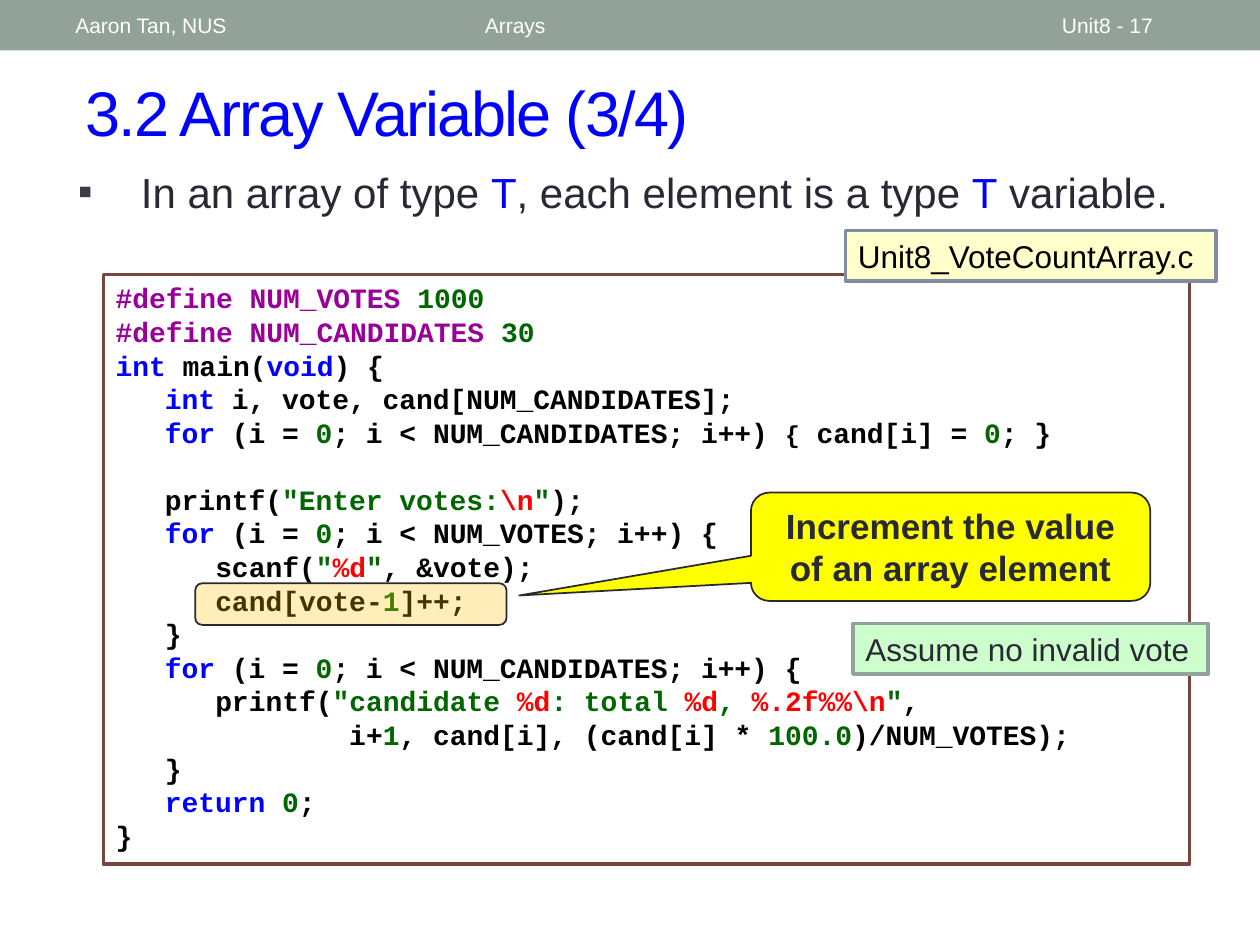
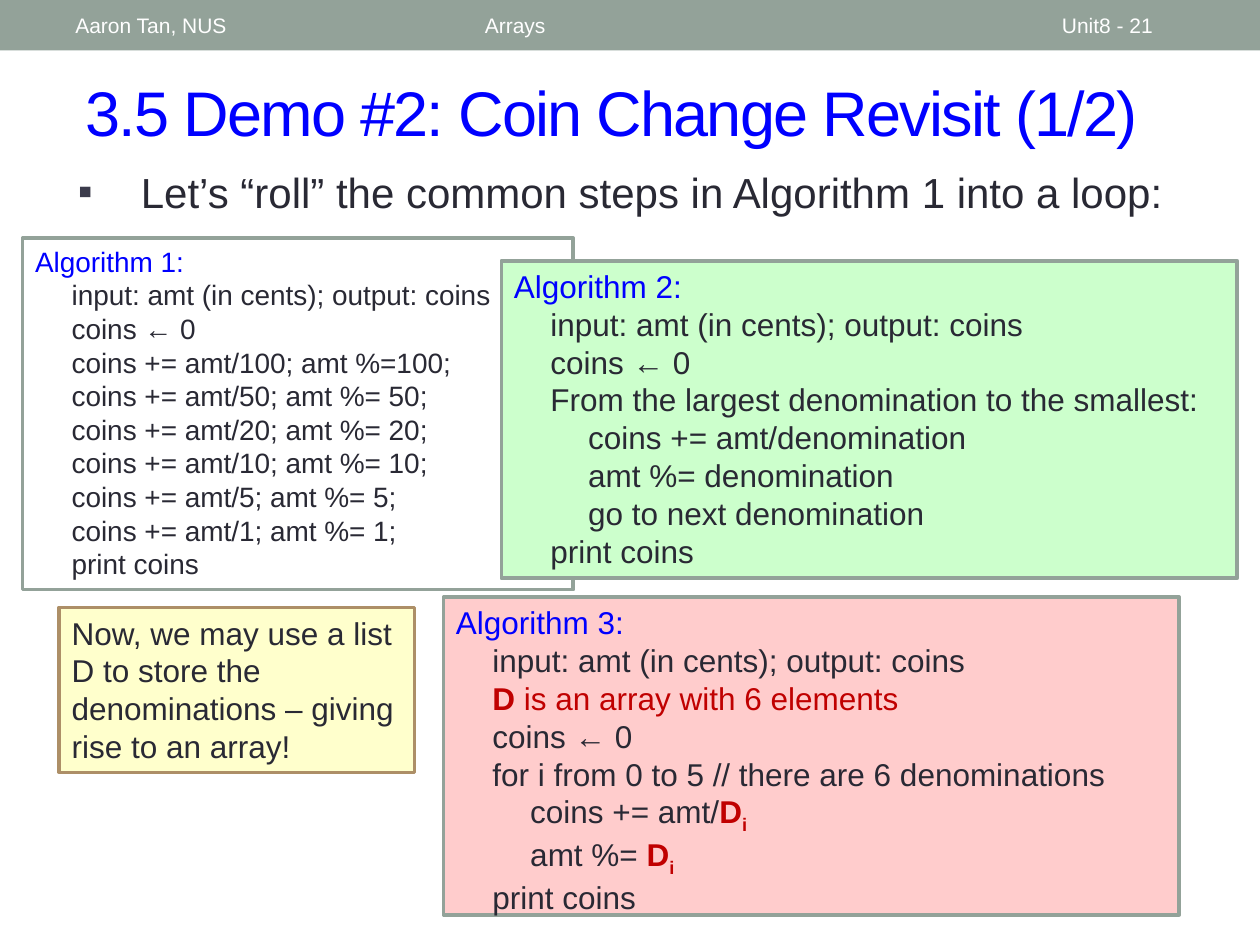
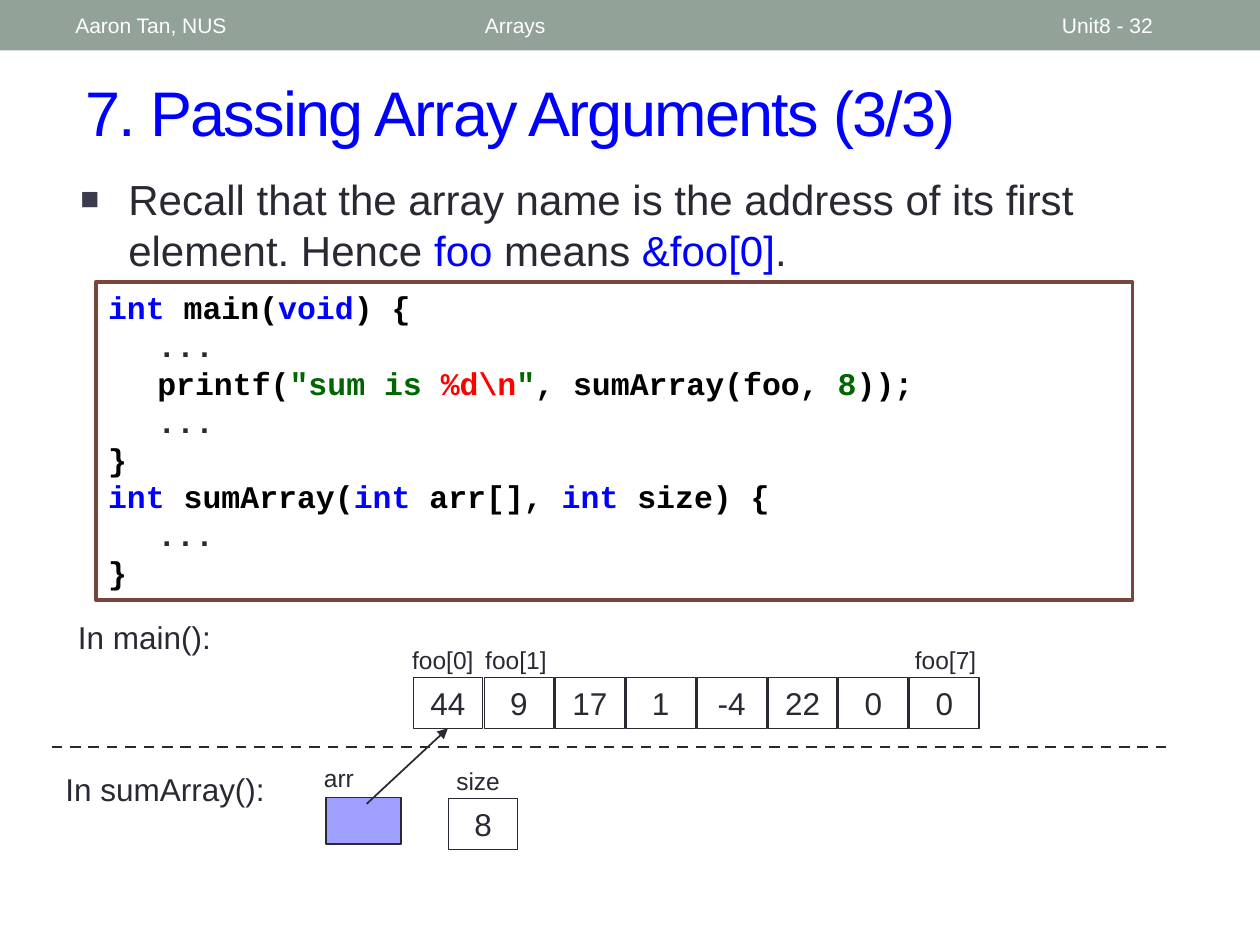
from lxml import etree
from pptx import Presentation
from pptx.dml.color import RGBColor
from pptx.enum.dml import MSO_LINE
from pptx.enum.shapes import MSO_CONNECTOR, MSO_SHAPE as SHAPE
from pptx.enum.text import MSO_ANCHOR as ANCHOR, MSO_AUTO_SIZE as AUTO, PP_ALIGN as ALIGN
from pptx.oxml.ns import qn
from pptx.util import Inches, Pt

INK, BLACK, WHITE = "292934", "000000", "FFFFFF"
BLUE, GREEN, RED, PURPLE, CRIMSON = "0000FF", "006600", "FF0000", "990099", "C00000"
SAGE, BROWN, TAN, SLATE, BULLET = "93A299", "79463D", "AD8F67", "808DA0", "3B3B4B"
CREAM, MINT, PINK, YELLOW, AMBER, LILAC = "FFFFCC", "CCFFCC", "FFCCCC", "FFFF00", "FFC000", "9F9FFF"
CODE_TABS = (0.39, 0.79, 1.18, 1.67)
STEP_TABS = (0.29, 0.59)
FRAME = 2.08


def rgb(value):
    return RGBColor.from_string(value)


def child(parent, tag, **attrs):
    return etree.SubElement(parent, qn(tag), {k: str(v) for k, v in attrs.items()})


class Deck:
    """Holds the presentation, its style and the slide being filled."""

    def __init__(self):
        self.prs = Presentation()
        self.prs.slide_width, self.prs.slide_height = Inches(10), Inches(7.5)
        self.s = None

    def slide(self, title, number):
        self.s = self.prs.slides.add_slide(self.prs.slide_layouts[6])
        self.shape(SHAPE.RECTANGLE, (0, 0, 10, 0.4), SAGE)
        tf = self.text((0.58, 0.42, 9.17, 0.92), [title], size=36, color=BLUE, anchor=ANCHOR.MIDDLE)
        tf.paragraphs[0].runs[0].font._element.set("spc", "-100")
        for left, width, words in ((3.75, 4.5, "Arrays"), (8.33, 1.17, f"Unit8 - {number}"),
                                   (0.5, 3.17, "Aaron Tan, NUS")):
            self.text((left, 0.02, width, 0.36), [words], size=12, color=WHITE, anchor=ANCHOR.MIDDLE)

    def put_text(self, sp, lines, size=18, color=INK, font="Arial", bold=False,
                 align=ALIGN.LEFT, anchor=ANCHOR.TOP, tabs=(), grow=False):
        """Fill a shape; a line is a string or a list of strings and (text, colour, options)."""
        tf = sp.text_frame
        tf.word_wrap, tf.vertical_anchor = True, anchor
        tf.auto_size = AUTO.SHAPE_TO_FIT_TEXT if grow else AUTO.NONE
        for i, line in enumerate(lines):
            p = tf.paragraphs[0] if i == 0 else tf.add_paragraph()
            p.alignment = align
            if tabs:
                stops = child(p._p.get_or_add_pPr(), "a:tabLst")
                for pos in tabs:
                    child(stops, "a:tab", pos=Inches(pos), algn="l")
            if not line:
                child(p._p, "a:endParaRPr", sz=size * 100)
                continue
            for part in [line] if isinstance(line, str) else line:
                words, tint, *more = (part, color) if isinstance(part, str) else part
                opts = more[0] if more else {}
                r = p.add_run()
                r.text = words
                f = r.font
                f.name, f.size = font, Pt(opts.get("size", size))
                f.bold, f.color.rgb = opts.get("bold", bold), rgb(tint)
                if "base" in opts:
                    f._element.set("baseline", str(opts["base"] * 1000))
        return tf

    def text(self, at, lines, **style):
        return self.put_text(self.s.shapes.add_textbox(*map(Inches, at)), lines, **style)

    def label(self, at, words):
        tf = self.text(at, [words], size=14, align=ALIGN.CENTER, grow=True)
        tf.word_wrap = False

    def bullet(self, at, mark, indent, line, scale=None):
        p = self.text(at, [line], size=24).paragraphs[0]
        pPr = p._p.get_or_add_pPr()
        pPr.set("marL", str(Inches(indent)))
        pPr.set("indent", str(-Inches(indent)))
        child(child(pPr, "a:buClr"), "a:srgbClr", val=BULLET)
        if scale:
            child(pPr, "a:buSzPct", val=scale * 1000)
        child(pPr, "a:buFont", typeface="Arial")
        child(pPr, "a:buChar", char=mark)

    def shape(self, kind, at, fill, line=None, width=1, alpha=None):
        sp = self.s.shapes.add_shape(kind, *map(Inches, at))
        sp.shadow.inherit = False
        sp.fill.solid()
        sp.fill.fore_color.rgb = rgb(fill)
        if alpha:
            child(sp._element.spPr.find(".//" + qn("a:srgbClr")), "a:alpha", val=alpha * 1000)
        if line:
            sp.line.color.rgb, sp.line.width = rgb(line), Pt(width)
        else:
            sp.line.fill.background()
        return sp

    def box(self, at, fill, line, lines, width=FRAME, **style):
        sp = self.shape(SHAPE.RECTANGLE, at, fill, line, width)
        self.put_text(sp, lines, grow=True, **style)
        return sp

    def code(self, at, lines, size):
        self.box(at, WHITE, BROWN, lines, size=size, color=BLACK, font="Courier New",
                 bold=True, tabs=CODE_TABS)

    def cell(self, left, top, value):
        return self.box((left, top, 0.55, 0.4), WHITE, INK, [value], width=0.75, align=ALIGN.CENTER)

    def line(self, start, end, width=1):
        c = self.s.shapes.add_connector(MSO_CONNECTOR.STRAIGHT, *map(Inches, start + end))
        c.line.color.rgb, c.line.width = rgb(INK), Pt(width)
        child(c._element.spPr, "a:effectLst")
        return c


def array_variable(deck):
    deck.slide("3.2 Array Variable (3/4)", 17)
    deck.bullet((0.52, 1.27, 9.14, 0.73), "▪", 0.5,
                ["In an array of type ", ("T", BLUE), ", each element is a type ", ("T", BLUE), " variable."])
    zero = ("0", GREEN)
    loop = ["\t", ("for", BLUE), " (i = ", zero]
    deck.code((0.82, 2.18, 8.62, 4.68), [
        [("#define NUM_VOTES ", PURPLE), ("1000", GREEN)],
        [("#define NUM_CANDIDATES ", PURPLE), ("30", GREEN)],
        [("int", BLUE), " main(", ("void", BLUE), ") {"],
        ["\t", ("int ", BLUE), "i, vote, cand[NUM_CANDIDATES];"],
        loop + ["; i < NUM_CANDIDATES; i++) ", ("{", BLACK, {"size": 14}), " cand[i] = ", zero, "; }"],
        "",
        ["\tprintf(", ('"Enter votes:', GREEN), ("\\n", RED), ('"', GREEN), ");"],
        loop + ["; i < NUM_VOTES; i++) {"],
        ["\t\tscanf(", ('"', GREEN), ("%d", RED), ('"', GREEN), ", &vote);"],
        ["\t\tcand[vote-", ("1", GREEN), "]++;"],
        "\t}",
        loop + ["; i < NUM_CANDIDATES; i++) {"],
        ["\t\tprintf(", ('"candidate ', GREEN), ("%d", RED), (": total ", GREEN), ("%d", RED),
         (", ", GREEN), ("%.2f%%\\n", RED), ('"', GREEN), ","],
        ["\t\t        i+", ("1", GREEN), ", cand[i], (cand[i] * ", ("100.0", GREEN), ")/NUM_VOTES);"],
        "\t}",
        ["\t", ("return ", BLUE), zero, ";"],
        "}",
    ], size=16)
    deck.box((6.71, 1.83, 2.94, 0.4), CREAM, SLATE, ["Unit8_VoteCountArray.c"], color=BLACK)
    callout = deck.shape(SHAPE.ROUNDED_RECTANGULAR_CALLOUT, (5.96, 3.91, 3.17, 0.86), YELLOW, INK)
    for i, value in enumerate((-1.08, 0.45, 0.17)):
        callout.adjustments[i] = value
    deck.put_text(callout, ["Increment the value of an array element"], size=20, bold=True,
                  align=ALIGN.CENTER, anchor=ANCHOR.MIDDLE)
    deck.shape(SHAPE.ROUNDED_RECTANGLE, (1.55, 4.63, 2.47, 0.33), AMBER, INK, alpha=27)
    deck.box((6.77, 4.95, 2.82, 0.4), MINT, SAGE, ["Assume no invalid vote"])


def coin_change(deck):
    deck.slide("3.5 Demo #2: Coin Change Revisit (1/2)", 21)
    deck.bullet((0.52, 1.27, 9.14, 0.57), "▪", 0.5,
                "Let’s “roll” the common steps in Algorithm 1 into a loop:")

    def algorithm(number, at, fill, steps, size=18):
        lines = [[(f"Algorithm {number}:", BLUE)], "\tinput: amt (in cents); output: coins"]
        deck.box(at, fill, SAGE, lines + steps + ["\tprint coins"], size=size, tabs=STEP_TABS)

    start = "\tcoins ← 0"
    algorithm(1, (0.18, 1.89, 4.37, 2.79), WHITE,
              [start, "\tcoins += amt/100; amt %=100;"]
              + [f"\tcoins += amt/{d}; amt %= {d};" for d in (50, 20, 10, 5, 1)], size=16)
    algorithm(2, (3.98, 2.07, 5.84, 2.52), MINT, [
        start,
        "\tFrom the largest denomination to the smallest:",
        "\t\tcoins += amt/denomination",
        "\t\tamt %= denomination",
        "\t\tgo to next denomination",
    ])
    deck.box((0.47, 4.82, 2.82, 1.31), CREAM, TAN,
             ["Now, we may use a list D to store the denominations – giving rise to an array!"])
    d = ("D", CRIMSON, {"bold": True})
    d_i = [d, ("i", CRIMSON, {"bold": True, "base": -25})]
    algorithm(3, (3.52, 4.74, 5.84, 2.52), PINK, [
        ["\t", d, (" is an array with 6 elements", CRIMSON)],
        start,
        "\tfor i from 0 to 5 // there are 6 denominations",
        ["\t\tcoins += amt/"] + d_i,
        ["\t\tamt %= "] + d_i,
    ])


def passing_arrays(deck):
    deck.slide("7. Passing Array Arguments (3/3)", 32)
    deck.bullet((0.54, 1.33, 8.89, 0.91), "■", 0.38,
                ["Recall that the array name is the address of its first element. Hence ",
                 ("foo", BLUE), " means ", ("&foo[0]", BLUE), "."], scale=75)
    dots = [("\t...", INK)]
    deck.code((0.76, 2.24, 8.23, 2.52), [
        [("int", BLUE), " main(", ("void", BLUE), ") {"],
        dots,
        ["\tprintf(", ('"sum is ', GREEN), ("%d\\n", RED), ('"', GREEN), ", sumArray(foo, ",
         ("8", GREEN), "));"],
        dots,
        "}",
        [("int ", BLUE), "sumArray(", ("int ", BLUE), "arr[], ", ("int", BLUE), " size) {"],
        dots,
        "}",
    ], size=18)

    deck.text((0.52, 4.86, 1.41, 0.4), ["In main():"], grow=True)
    for left, width, i in ((3.15, 0.73, 0), (3.75, 0.69, 1), (7.11, 0.79, 7)):
        deck.label((left, 5.07, width, 0.34), f"foo[{i}]")
    pitch = 3.94 / 7
    foo = [deck.cell(3.28 + i * pitch, 5.38, value)
           for i, value in enumerate(("44", "9", "17", "1", "-4", "22", "0", "0"))]

    deck.text((0.42, 6.06, 1.81, 0.4), ["In sumArray():"], grow=True)
    deck.label((2.42, 6.01, 0.54, 0.34), "arr")
    deck.shape(SHAPE.RECTANGLE, (2.59, 6.33, 0.59, 0.37), LILAC, INK)
    pointer = deck.line((2.91, 6.38), (3.56, 5.78))
    pointer.end_connect(foo[0], 2)
    child(pointer._element.spPr.find(qn("a:ln")), "a:tailEnd", type="triangle")
    deck.label((3.43, 6.03, 0.73, 0.34), "size")
    deck.cell(3.56, 6.34, "8")
    deck.line((0.41, 5.93), (9.27, 5.93), 1.5).line.dash_style = MSO_LINE.DASH


def main():
    deck = Deck()
    for build in (array_variable, coin_change, passing_arrays):
        build(deck)
    deck.prs.save("out.pptx")


if __name__ == "__main__":
    main()
